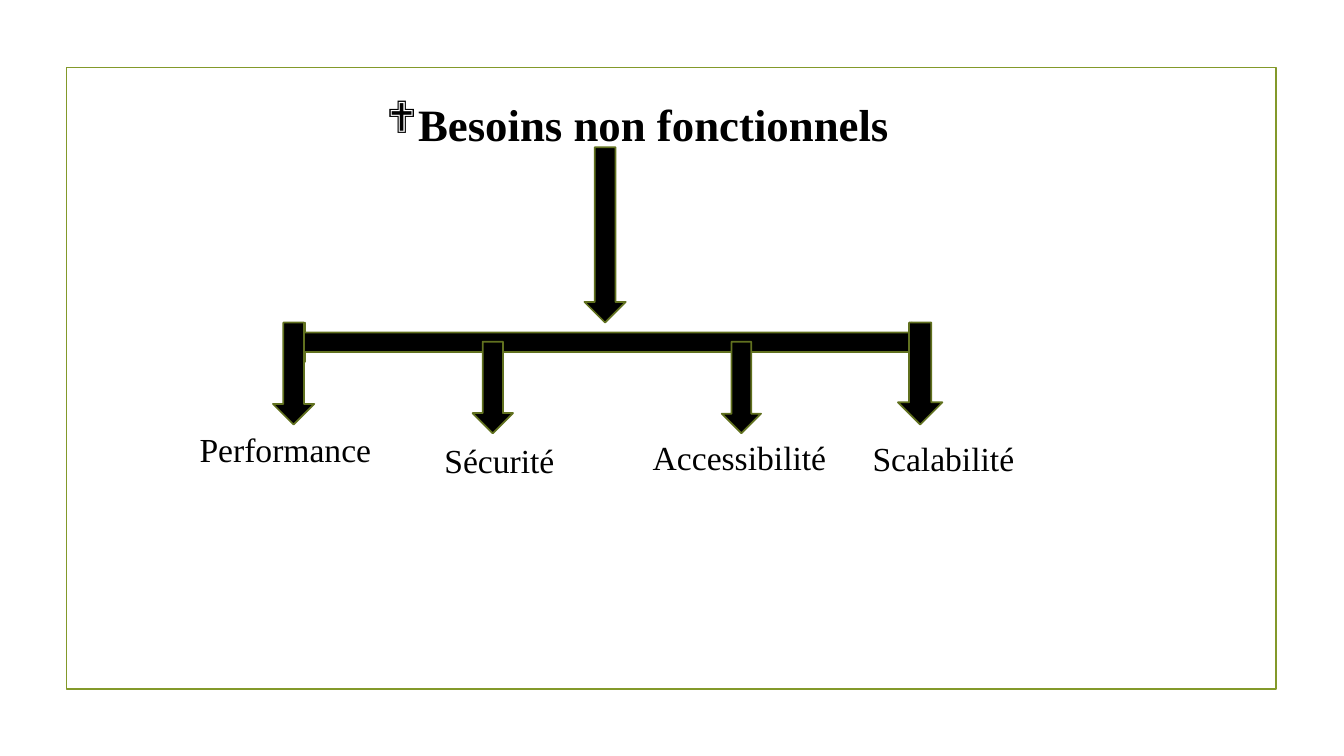
from lxml import etree
from pptx import Presentation
from pptx.dml.color import RGBColor
from pptx.enum.shapes import MSO_SHAPE as Shape
from pptx.enum.text import MSO_AUTO_SIZE as AutoSize, PP_ALIGN as Align
from pptx.oxml.ns import qn
from pptx.util import Cm, Pt

COLORS = {"black": "000000", "frame": "83992A", "outline": "61711F"}
FONT = "Times New Roman"

deck = Presentation()
deck.slide_width, deck.slide_height = Cm(33.87), Cm(19.05)
slide = deck.slides.add_slide(deck.slide_layouts[6])


def add_block(kind, box, line, fill=None):
    block = slide.shapes.add_shape(kind, *map(Cm, box))
    block.shadow.inherit = False
    if fill:
        block.fill.solid()
        block.fill.fore_color.rgb = RGBColor.from_string(COLORS[fill])
    else:
        block.fill.background()
    block.line.color.rgb = RGBColor.from_string(COLORS[line])
    block.line.width = Pt(1.25)


def add_text(text, box, size, bold=False):
    frame = slide.shapes.add_textbox(*map(Cm, box)).text_frame
    frame.word_wrap = True
    frame.auto_size = AutoSize.SHAPE_TO_FIT_TEXT
    paragraph = frame.paragraphs[0]
    run = paragraph.add_run()
    run.text = text
    run.font.name = FONT
    run.font.size = Pt(size)
    run.font.bold = bold
    run.font.color.rgb = RGBColor.from_string(COLORS["black"])
    return paragraph


# Slide frame
add_block(Shape.RECTANGLE, (1.68, 1.7, 30.48, 15.67), "frame")

# Bulleted title
title = add_text("Besoins non fonctionnels", (5.26, 2.21, 21.62, 1.63), 32, bold=True)
title.alignment = Align.CENTER
title.line_spacing = 1.07
title.space_after = Pt(8)
title_format = title._p.get_or_add_pPr()
title_format.set("marL", str(Cm(0.79)))
title_format.set("indent", str(Cm(-0.79)))
etree.SubElement(title_format, qn("a:buFont"), typeface="Wingdings")
etree.SubElement(title_format, qn("a:buChar"), char="❖")

# Trunk and crossbar
add_block(Shape.DOWN_ARROW, (14.73, 3.71, 1.04, 4.42), "outline", "black")
add_block(Shape.LEFT_RIGHT_ARROW, (7.19, 8.13, 16.28, 0.99), "outline", "black")

# Branch arrows: the outer pair starts above the inner pair
OUTER, INNER = (8.13, 2.57), (8.61, 2.31)
branches = [(6.88, 1.04, OUTER), (22.63, 1.12, OUTER),
            (11.91, 1.02, INNER), (18.19, 0.99, INNER)]
for left, width, (top, height) in branches:
    add_block(Shape.DOWN_ARROW, (left, top, width, height), "outline", "black")

# Needs under the branches
needs = [("Performance", 4.78, 10.69, 5.03), ("Sécurité", 10.95, 10.95, 3.63),
         ("Accessibilité", 16.2, 10.88, 5.05), ("Scalabilité", 21.74, 10.9, 4.3)]
for need, left, top, width in needs:
    add_text(need, (left, top, width, 1.27), 24)

deck.save("out.pptx")
